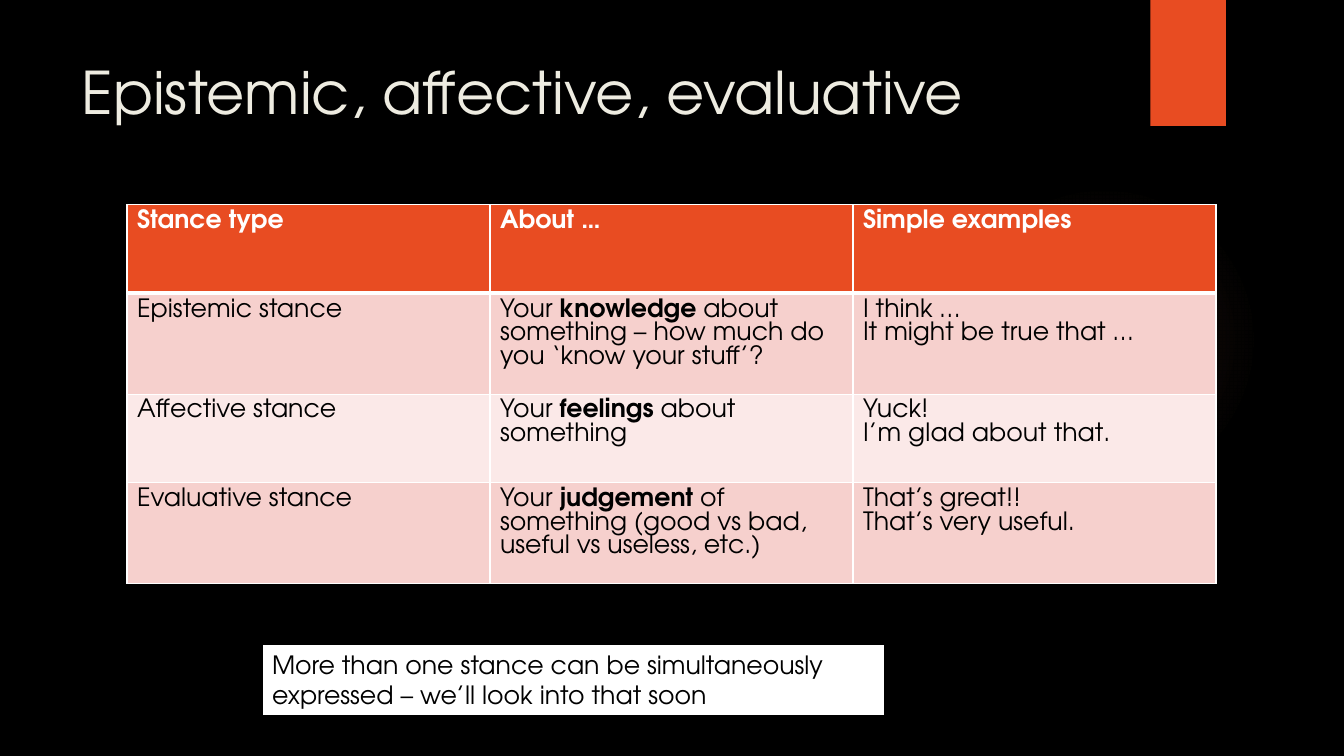
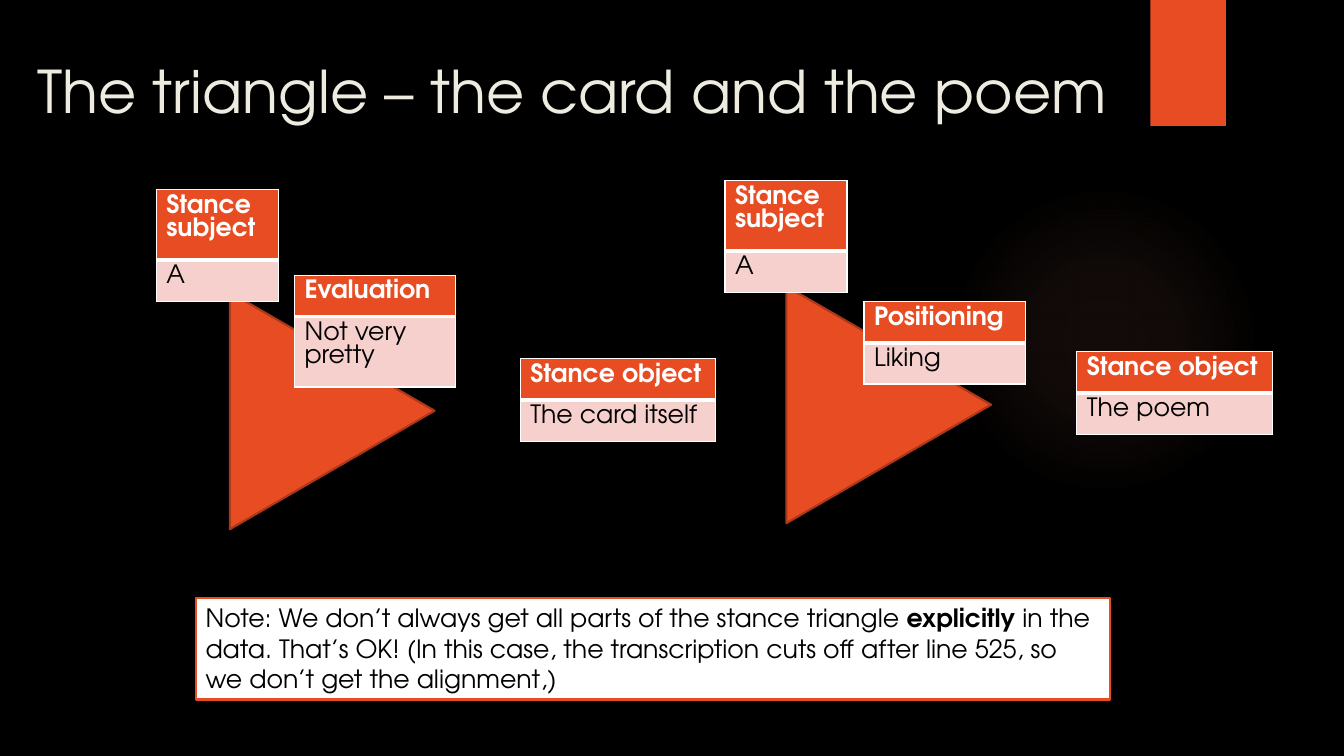
from pptx import Presentation
from pptx.dml.color import RGBColor
from pptx.enum.shapes import MSO_SHAPE as Preset
from pptx.enum.text import MSO_ANCHOR as Anchor, PP_ALIGN as Align
from pptx.oxml import parse_xml
from pptx.oxml.ns import nsdecls
from pptx.util import Inches, Pt

FONT = "TeX Gyre Adventor"
BLACK, WHITE, CREAM = "000000", "FFFFFF", "EEECE1"
ORANGE, RUST, GLOW = "E84C22", "AC3819", "F1947A"
PINK, PALE = "F6D0CD", "FBE9E8"
color = RGBColor.from_string


def write(frame, text, ink, size=18, bold=False):
    frame.word_wrap = True
    frame.text = text.replace("*", "")
    for para, line in zip(frame.paragraphs, text.split("\n")):
        para.alignment = Align.LEFT
        para.text = ""
        for index, part in enumerate(line.split("*")):
            span = para.add_run()
            span.text = part
            span.font.name = FONT
            span.font.size = Pt(size)
            span.font.bold = bold or index % 2 == 1
            span.font.color.rgb = color(ink)


def add_grid(page, left, top, column_width, row_height, rows):
    count = len(rows[0])
    table = page.shapes.add_table(
        len(rows), count, Inches(left), Inches(top),
        Inches(column_width * count), Inches(row_height * len(rows))).table
    for column in table.columns:
        column.width = Inches(column_width)
    for row_index, texts in enumerate(rows):
        table.rows[row_index].height = Inches(row_height)
        header = row_index == 0
        fill = ORANGE if header else (PALE, PINK)[row_index % 2]
        widths = {"L": 1, "R": 1, "T": 3 if row_index == 1 else 1, "B": 3 if header else 1}
        for column_index, text in enumerate(texts):
            cell = table.cell(row_index, column_index)
            properties = cell._tc.get_or_add_tcPr()
            for side, width in widths.items():
                properties.append(parse_xml(
                    f'<a:ln{side} {nsdecls("a")} w="{Pt(width)}"><a:solidFill>'
                    f'<a:srgbClr val="{WHITE}"/></a:solidFill></a:ln{side}>'))
            cell.fill.solid()
            cell.fill.fore_color.rgb = color(fill)
            write(cell.text_frame, text, WHITE if header else BLACK, bold=header)


deck = Presentation()
deck.slide_width, deck.slide_height = Inches(13.33), Inches(7.5)

page_contents = [
    ("Epistemic, affective, evaluative", (0.71, 0.5, 10.29, 1.53),
     "More than one stance can be simultaneously expressed – we’ll look into that soon",
     (2.6, 6.39, 6.18, 0.71), BLACK),
    ("The triangle – the card and the poem", (0.27, 0.49, 11.2, 1.53),
     "Note: We don’t always get all parts of the stance triangle *explicitly* in the data. "
     "That’s OK! (In this case, the transcription cuts off after line 525, "
     "so we don’t get the alignment,)",
     (1.94, 5.93, 9.07, 1.01), ORANGE),
]
pages = []
for title, title_place, note, note_place, note_line in page_contents:
    page = deck.slides.add_slide(deck.slide_layouts[6])
    pages.append(page)
    page.background.fill.solid()
    page.background.fill.fore_color.rgb = color(BLACK)

    glow = page.shapes.add_shape(
        Preset.OVAL, Inches(9.41), Inches(1.83), Inches(3.08), Inches(3.08))
    glow.shadow.inherit = False
    glow.line.fill.background()
    stops = "".join(
        f'<a:gs pos="{position}000"><a:srgbClr val="{GLOW}"><a:alpha val="{alpha}000"/>'
        '</a:srgbClr></a:gs>' for position, alpha in ((0, 7), (36, 6), (69, 0)))
    glow._element.spPr.find(
        "{http://schemas.openxmlformats.org/drawingml/2006/main}prstGeom").addnext(parse_xml(
            f'<a:gradFill {nsdecls("a")}><a:gsLst>{stops}</a:gsLst><a:path path="circle">'
            '<a:fillToRect l="50000" t="50000" r="50000" b="50000"/></a:path></a:gradFill>'))

    ribbon = page.shapes.add_shape(
        Preset.RECTANGLE, Inches(11.41), Inches(0), Inches(0.75), Inches(1.25))
    ribbon.shadow.inherit = False
    ribbon.fill.solid()
    ribbon.fill.fore_color.rgb = color(ORANGE)
    ribbon.line.fill.background()

    title_box = page.shapes.add_textbox(*map(Inches, title_place))
    title_box.text_frame.vertical_anchor = Anchor.TOP
    write(title_box.text_frame, title, CREAM, size=42)

    note_box = page.shapes.add_shape(Preset.RECTANGLE, *map(Inches, note_place))
    note_box.shadow.inherit = False
    note_box.fill.solid()
    note_box.fill.fore_color.rgb = color(WHITE)
    note_box.line.color.rgb = color(note_line)
    note_box.line.width = Pt(1.5)
    note_box.text_frame.vertical_anchor = Anchor.TOP
    write(note_box.text_frame, note, BLACK)

stance_page, triangle_page = pages

add_grid(stance_page, 1.26, 2.03, 3.6, 0.88, [
    ("Stance type", "About …", "Simple examples"),
    ("Epistemic stance",
     "Your *knowledge* about something – how much do you ‘know your stuff’?",
     "I think …\nIt might be true that …"),
    ("Affective stance", "Your *feelings* about something", "Yuck!\nI’m glad about that."),
    ("Evaluative stance",
     "Your *judgement* of something (good vs bad, useful vs useless, etc.)",
     "That’s great!!\nThat’s very useful."),
])

triangles = [
    (2.12, 3.06, [
        (5.16, 3.56, 1.94, "Stance object", "The card itself"),
        (1.55, 1.88, 1.21, "Stance subject", "A"),
        (2.92, 2.73, 1.6, "Evaluation", "Not very pretty")]),
    (7.64, 3, [
        (10.68, 3.49, 1.94, "Stance object", "The poem"),
        (8.57, 2.99, 1.6, "Positioning", "Liking"),
        (7.19, 1.79, 1.21, "Stance subject", "A")]),
]
for left, top, labels in triangles:
    triangle = triangle_page.shapes.add_shape(
        Preset.ISOSCELES_TRIANGLE, Inches(left), Inches(top), Inches(2.35), Inches(2.03))
    triangle.rotation = 90
    triangle.shadow.inherit = False
    triangle.fill.solid()
    triangle.fill.fore_color.rgb = color(ORANGE)
    triangle.line.color.rgb = color(RUST)
    triangle.line.width = Pt(1.5)
    for label_left, label_top, width, heading, value in labels:
        add_grid(triangle_page, label_left, label_top, width, 0.41, [(heading,), (value,)])

deck.save("out.pptx")
